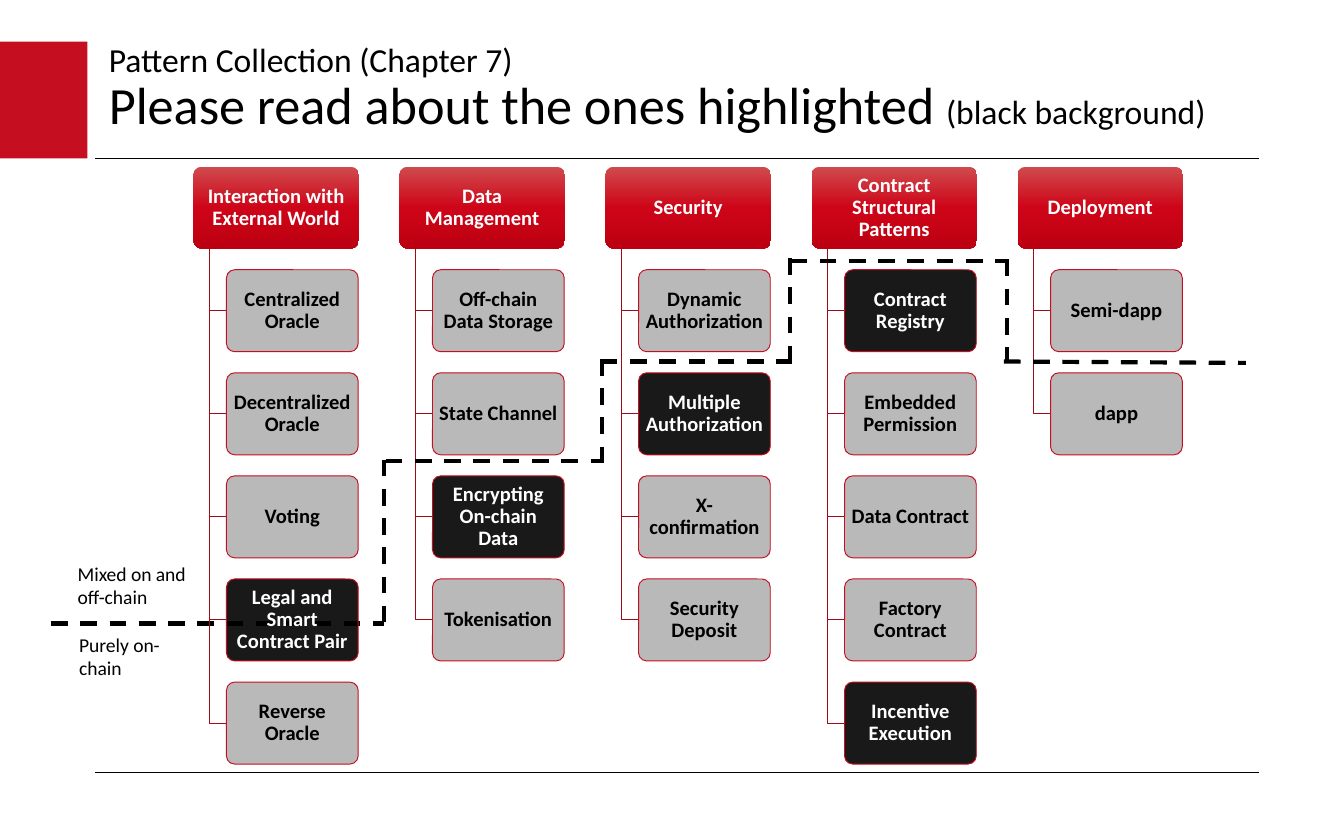
from copy import deepcopy

from lxml.etree import SubElement
from pptx import Presentation
from pptx.dml.color import RGBColor
from pptx.enum.dml import MSO_LINE
from pptx.enum.shapes import MSO_CONNECTOR, MSO_SHAPE
from pptx.enum.text import MSO_ANCHOR, MSO_AUTO_SIZE, PP_ALIGN
from pptx.oxml.ns import qn
from pptx.util import Inches, Pt

BLACK = RGBColor(0, 0, 0)
WHITE = RGBColor(255, 255, 255)
GRAY = RGBColor(0xB2, 0xB2, 0xB2)
RED = RGBColor(0xC5, 0x0E, 0x1F)
DARK_RED = RGBColor(0x9E, 0x0B, 0x19)
HEADER_STOPS = [
    (0, RGBColor(0xCF, 0x4B, 0x4E)),
    (0.5, RGBColor(0xCE, 0x05, 0x18)),
    (1, RGBColor(0xBC, 0x00, 0x11)),
]

COLUMNS = [
    ("Interaction with External World",
     ["Centralized Oracle", "Decentralized Oracle", "Voting",
      "Legal and Smart Contract Pair", "Reverse Oracle"]),
    ("Data Management",
     ["Off-chain Data Storage", "State Channel",
      "Encrypting On-chain Data", "Tokenisation"]),
    ("Security",
     ["Dynamic Authorization", "Multiple Authorization",
      "X-confirmation", "Security Deposit"]),
    ("Contract Structural Patterns",
     ["Contract Registry", "Embedded Permission", "Data Contract",
      "Factory Contract", "Incentive Execution"]),
    ("Deployment", ["Semi-dapp", "dapp"]),
]
HIGHLIGHTED = {
    "Legal and Smart Contract Pair", "Encrypting On-chain Data",
    "Multiple Authorization", "Contract Registry", "Incentive Execution",
}
BOUNDARY = [
    (2.87, 3.43, 4.48, 3.43), (4.47, 2.69, 5.89, 2.69),
    (5.88, 1.94, 7.5, 1.94), (7.47, 2.69, 9.27, 2.7),
    (2.86, 3.42, 2.86, 4.63), (4.48, 2.67, 4.48, 3.45),
    (5.88, 1.92, 5.88, 2.69), (7.49, 1.93, 7.49, 2.69),
]
LEFT, TOP = 1.44, 1.24
COLUMN_STEP, ROW_STEP = 1.533, 0.767
HEADER_WIDTH, PATTERN_WIDTH, BOX_HEIGHT = 1.23, 0.98, 0.61


def add_text(para, text, size, color=BLACK, bold=False):
    span = para.add_run()
    span.text = text
    span.font.name = "Calibri"
    span.font.size = Pt(size)
    span.font.bold = bold
    span.font.color.rgb = color


def add_line(points, width, dash=None):
    line = slide.shapes.add_connector(
        MSO_CONNECTOR.STRAIGHT, *[Inches(value) for value in points])
    line.line.color.rgb = BLACK
    line.line.width = Pt(width)
    line.line.dash_style = dash
    SubElement(line._element.spPr, qn("a:effectLst"))


deck = Presentation()
deck.slide_width, deck.slide_height = Inches(10), Inches(6.25)
slide = deck.slides.add_slide(deck.slide_layouts[5])

accent = slide.shapes.add_shape(
    MSO_SHAPE.RECTANGLE, 0, Inches(0.31), Inches(0.65), Inches(0.87))
accent.shadow.inherit = False
accent.fill.solid()
accent.fill.fore_color.rgb = RED
accent.line.fill.background()

for rule_top in (1.18, 5.75):
    add_line((0.71, rule_top, 9.37, rule_top), 0.75)

title = slide.shapes.title
title.left, title.top = Inches(0.71), Inches(0.31)
title.width, title.height = Inches(8.66), Inches(0.71)
title.text_frame.auto_size = MSO_AUTO_SIZE.NONE
title.text_frame.vertical_anchor = MSO_ANCHOR.MIDDLE
para = title.text_frame.paragraphs[0]
para.alignment = PP_ALIGN.LEFT
para.line_spacing = 0.9
add_text(para, "Pattern Collection (Chapter 7)", 18)
para.add_line_break()
add_text(para, "Please read about the ones highlighted ", 28)
add_text(para, "(black background)", 18)

add_line((0.38, 4.64, 2.86, 4.64), 2.25, MSO_LINE.DASH)

for column, (header, patterns) in enumerate(COLUMNS):
    column_left = LEFT + column * COLUMN_STEP
    for row, text in enumerate([header] + patterns):
        is_header = row == 0
        box_left = column_left if is_header else column_left + 0.245
        box_top = TOP + row * ROW_STEP
        if not is_header:
            stem = column_left + 0.12
            middle = box_top + BOX_HEIGHT / 2
            builder = slide.shapes.build_freeform(
                Inches(stem), Inches(TOP + BOX_HEIGHT))
            builder.add_line_segments(
                [(Inches(stem), Inches(middle)),
                 (Inches(box_left), Inches(middle))], close=False)
            branch = builder.convert_to_shape()
            branch.shadow.inherit = False
            branch.fill.background()
            branch.line.color.rgb = DARK_RED
            branch.line.width = Pt(0.5)

        box = slide.shapes.add_shape(
            MSO_SHAPE.ROUNDED_RECTANGLE, Inches(box_left), Inches(box_top),
            Inches(HEADER_WIDTH if is_header else PATTERN_WIDTH),
            Inches(BOX_HEIGHT))
        box.adjustments[0] = 0.1
        box.shadow.inherit = False
        if is_header:
            box.fill.gradient()
            box.fill.gradient_angle = 270
            stop_list = box._element.spPr.find(".//" + qn("a:gsLst"))
            stop_list.append(deepcopy(stop_list[0]))
            for stop, (position, color) in zip(
                    box.fill.gradient_stops, HEADER_STOPS):
                stop.position = position
                stop.color.rgb = color
            box.line.fill.background()
        else:
            box.fill.solid()
            box.fill.fore_color.rgb = BLACK if text in HIGHLIGHTED else GRAY
            color_element = box._element.spPr.find(
                qn("a:solidFill") + "/" + qn("a:srgbClr"))
            SubElement(color_element, qn("a:alpha"), val="90000")
            box.line.color.rgb = RED
            box.line.width = Pt(0.5)

        frame = box.text_frame
        frame.word_wrap = True
        frame.vertical_anchor = MSO_ANCHOR.MIDDLE
        frame.margin_left = frame.margin_right = Inches(0.02)
        frame.margin_top = frame.margin_bottom = Inches(0.02)
        para = frame.paragraphs[0]
        para.alignment = PP_ALIGN.CENTER
        para.line_spacing = 0.9
        light_text = is_header or text in HIGHLIGHTED
        add_text(para, text, 11, WHITE if light_text else BLACK, bold=True)

for points in BOUNDARY:
    add_line(points, 2.25, MSO_LINE.DASH)

for left, top, text in [(0.48, 4.13, "Mixed on and off-chain"),
                        (0.49, 4.66, "Purely on-chain")]:
    label = slide.shapes.add_textbox(
        Inches(left), Inches(top), Inches(1.08), Inches(0.46))
    label.text_frame.word_wrap = True
    label.text_frame.auto_size = MSO_AUTO_SIZE.SHAPE_TO_FIT_TEXT
    add_text(label.text_frame.paragraphs[0], text, 10.5)

deck.save("out.pptx")
